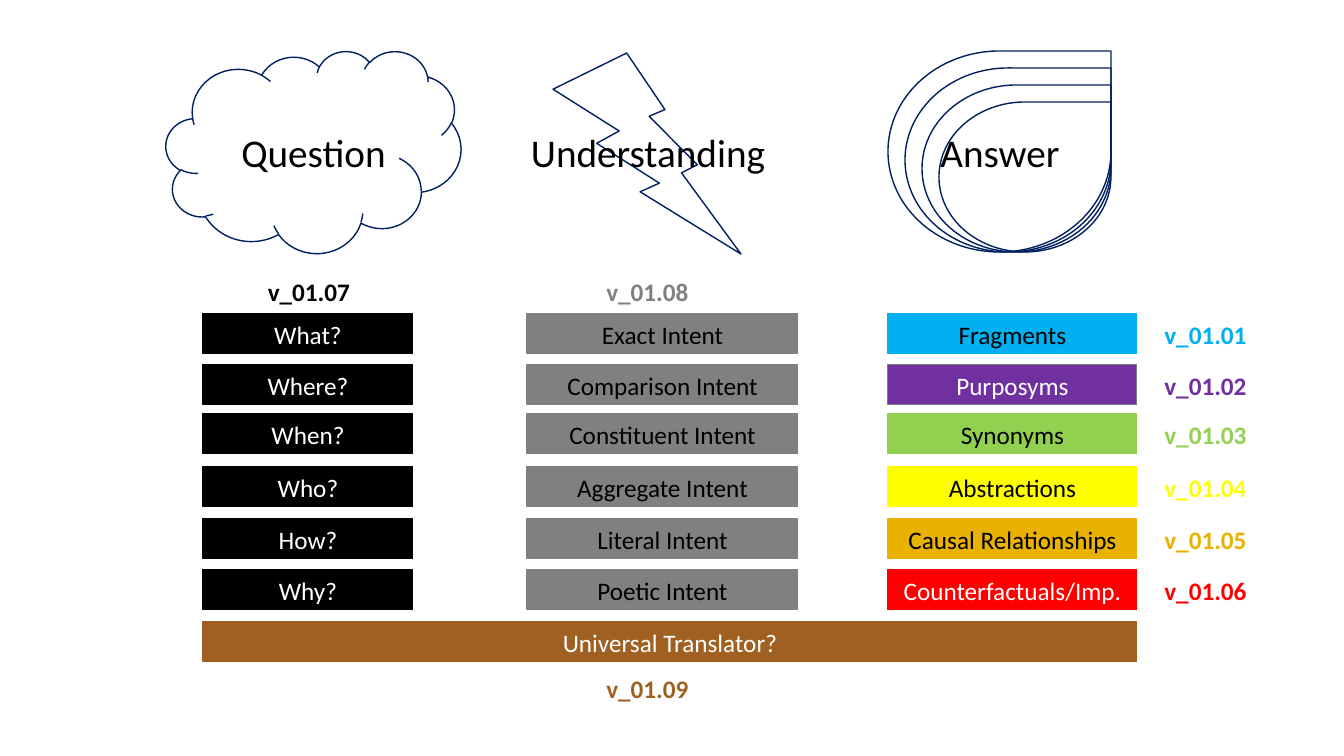
"""Build the question, understanding and answer slide."""
from pptx import Presentation
from pptx import util as u
from pptx.dml.color import RGBColor
from pptx.enum import shapes, text

SCALE = 914400 / 100.8
BLACK = RGBColor(0x00, 0x00, 0x00)
WHITE = RGBColor(0xFF, 0xFF, 0xFF)
NAVY = RGBColor(0x00, 0x20, 0x60)
GRAY = RGBColor(0x80, 0x80, 0x80)
EDGE_GRAY = RGBColor(0x7C, 0x7C, 0x7C)
BLUE = RGBColor(0x00, 0xB0, 0xF0)
PURPLE = RGBColor(0x70, 0x30, 0xA0)
GREEN = RGBColor(0x92, 0xD0, 0x50)
YELLOW = RGBColor(0xFF, 0xFF, 0x00)
GOLD = RGBColor(0xEA, 0xB2, 0x00)
RED = RGBColor(0xFF, 0x00, 0x00)
BROWN = RGBColor(0x9F, 0x60, 0x21)

ROW_TOPS = (314, 365, 414, 467, 519, 570)
ROW_HEIGHT = 40
QUESTIONS = ("What?", "Where?", "When?", "Who?", "How?", "Why?")
INTENTS = ("Exact Intent", "Comparison Intent", "Constituent Intent",
           "Aggregate Intent", "Literal Intent", "Poetic Intent")
ANSWERS = (
    ("Fragments", BLUE, BLUE, BLACK),
    ("Purposyms", PURPLE, EDGE_GRAY, WHITE),
    ("Synonyms", GREEN, GREEN, BLACK),
    ("Abstractions", YELLOW, YELLOW, BLACK),
    ("Causal Relationships", GOLD, GOLD, BLACK),
    ("Counterfactuals/Imp.", RED, RED, WHITE),
)


def emu(*pixels):
    return [u.Emu(round(pixel * SCALE)) for pixel in pixels]


class Board:
    font = "Calibri"

    def __init__(self, slide):
        self.slide = slide

    def label(self, shape, words, size, color, bold=False):
        frame = shape.text_frame
        frame.word_wrap = True
        frame.vertical_anchor = text.MSO_ANCHOR.MIDDLE
        paragraph = frame.paragraphs[0]
        paragraph.text = words
        paragraph.alignment = text.PP_ALIGN.CENTER
        paragraph.font.name = self.font
        paragraph.font.size = u.Pt(size)
        paragraph.font.bold = bold
        paragraph.font.color.rgb = color

    def shape(self, kind, box, fill, line, width):
        shape = self.slide.shapes.add_shape(kind, *emu(*box))
        shape.shadow.inherit = False
        if fill is None:
            shape.fill.background()
        else:
            shape.fill.solid()
            shape.fill.fore_color.rgb = fill
        shape.line.color.rgb = line
        shape.line.width = u.Pt(width)
        return shape

    def outline(self, kind, box, fill=None):
        self.shape(kind, box, fill, NAVY, 1)

    def bar(self, words, left, top, width, fill, color, line=None):
        box = (left, top, width, ROW_HEIGHT)
        shape = self.shape(shapes.MSO_SHAPE.RECTANGLE, box, fill, line or fill, 0.75)
        self.label(shape, words, 18, color)

    def heading(self, words, left, width):
        shape = self.slide.shapes.add_textbox(*emu(left, 123, width, 57))
        self.label(shape, words, 28, BLACK)

    def version(self, number, left, top, width, color):
        shape = self.slide.shapes.add_textbox(*emu(left, top, width, ROW_HEIGHT))
        self.label(shape, f"v_01.{number:02}", 18, color, bold=True)


presentation = Presentation()
presentation.slide_width, presentation.slide_height = emu(1344, 756)
board = Board(presentation.slides.add_slide(presentation.slide_layouts[6]))

board.outline(shapes.MSO_SHAPE.CLOUD, (166, 51, 295, 202), WHITE)
board.heading("Question", 166, 295)
board.outline(shapes.MSO_SHAPE.LIGHTNING_BOLT, (553, 53, 188, 201), WHITE)
board.heading("Understanding", 517, 262)
for inset in range(0, 68, 17):
    board.outline(shapes.MSO_SHAPE.TEAR, (888 + inset, 51 + inset, 223 - inset, 201 - inset))
board.heading("Answer", 869, 262)

board.version(7, 253, 271, 112, BLACK)
board.version(8, 595, 271, 105, GRAY)
rows = zip(ROW_TOPS, QUESTIONS, INTENTS, ANSWERS)
for number, (top, question, intent, answer) in enumerate(rows, 1):
    words, fill, line, color = answer
    board.bar(question, 203, top, 210, BLACK, WHITE)
    board.bar(intent, 527, top, 271, GRAY, BLACK)
    board.bar(words, 888, top, 249, fill, color, line)
    board.version(number, 1137, top, 137, fill)

board.bar("Universal Translator?", 203, 622, 934, BROWN, WHITE)
board.version(9, 595, 668, 105, BROWN)

presentation.save("out.pptx")
